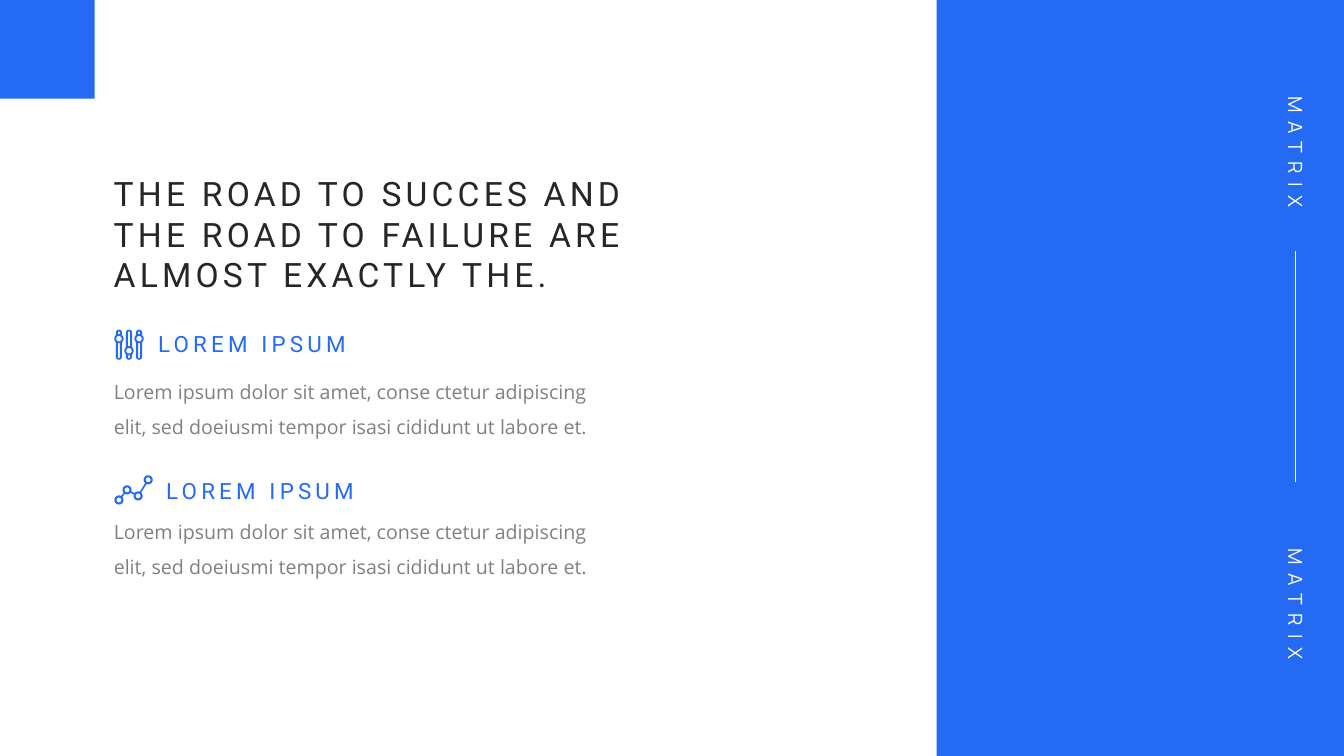
from math import cos, hypot, pi, sin, sqrt

from lxml.etree import SubElement
from pptx import Presentation
from pptx.dml.color import RGBColor
from pptx.enum.shapes import MSO_CONNECTOR as Connector, MSO_SHAPE as Shape
from pptx.enum.text import MSO_AUTO_SIZE as AutoSize, PP_ALIGN as Align
from pptx.oxml.ns import qn
from pptx.util import Inches, Pt

COLORS = {"blue": "256AF3", "white": "FFFFFF", "dark": "262626", "gray": "808080"}
BODY = ("Lorem ipsum dolor sit amet, conse ctetur adipiscing elit, "
        "sed doeiusmi tempor isasi cididunt ut labore et.")


def circle(x, y, radius, steps=32):
    return [(x + radius * cos(2 * pi * i / steps), y + radius * sin(2 * pi * i / steps))
            for i in range(steps)]


def slot(x, top, bottom, half=0.01):
    return [(x - half, top), (x + half, top), (x + half, bottom), (x - half, bottom)]


def slider(x, knob_y, top=3.27, bottom=3.57, track=0.03, knob=0.046, steps=60):
    """Contours of a rounded track with a round knob, and the holes in both."""
    def half_width(y):
        cap = max(0, track - min(y - top, bottom - y))
        widths = sqrt(max(0, track ** 2 - cap ** 2)), sqrt(max(0, knob ** 2 - (y - knob_y) ** 2))
        return max(widths)

    heights = [top + (bottom - top) * i / steps for i in range(steps + 1)]
    right = [(x + half_width(y), y) for y in heights]
    left = [(x - half_width(y), y) for y in reversed(heights)]
    return [right + left, circle(x, knob_y, 0.027),
            slot(x, top + 0.02, knob_y - 0.045), slot(x, knob_y + 0.045, bottom - 0.02)]


def link(start, end, radius, half=0.008):
    """Thin bar between the rims of two rings."""
    (x1, y1), (x2, y2) = start, end
    length = hypot(x2 - x1, y2 - y1)
    dx, dy = (x2 - x1) / length, (y2 - y1) / length
    x1, y1, x2, y2 = x1 + dx * radius, y1 + dy * radius, x2 - dx * radius, y2 - dy * radius
    nx, ny = -dy * half, dx * half
    return [(x1 + nx, y1 + ny), (x2 + nx, y2 + ny), (x2 - nx, y2 - ny), (x1 - nx, y1 - ny)]


def line_graph(points, outer=0.045, inner=0.024):
    rings = [circle(x, y, radius) for x, y in points for radius in (outer, inner)]
    return rings + [link(a, b, outer) for a, b in zip(points, points[1:])]


class SlideBuilder:
    def __init__(self, slide):
        self.shapes = slide.shapes

    def color(self, name):
        return RGBColor.from_string(COLORS[name])

    def paint(self, shape, fill):
        shape.shadow.inherit = False
        shape.fill.solid()
        shape.fill.fore_color.rgb = self.color(fill)
        shape.line.fill.background()

    def rectangle(self, left, top, width, height, fill="blue"):
        box = map(Inches, (left, top, width, height))
        self.paint(self.shapes.add_shape(Shape.RECTANGLE, *box), fill)

    def icon(self, contours, fill="blue"):
        """One filled outline; contours inside others become holes."""
        contours = [[(Inches(x), Inches(y)) for x, y in contour] for contour in contours]
        builder = self.shapes.build_freeform(*contours[0][0])
        for index, (first, *rest) in enumerate(contours):
            if index:
                builder.move_to(*first)
            builder.add_line_segments(rest, close=True)
        self.paint(builder.convert_to_shape(), fill)

    def line(self, x1, y1, x2, y2, color="white", width=0.5):
        ends = map(Inches, (x1, y1, x2, y2))
        connector = self.shapes.add_connector(Connector.STRAIGHT, *ends)
        connector.line.color.rgb = self.color(color)
        connector.line.width = Pt(width)
        SubElement(connector._element.spPr, qn("a:effectLst"))

    def text(self, left, top, width, height, words, font, size, color, tracking=0,
             align=Align.LEFT, line_spacing=None, wrap=True, rotation=0):
        box = self.shapes.add_textbox(*map(Inches, (left, top, width, height)))
        box.rotation = rotation
        frame = box.text_frame
        frame.word_wrap = wrap
        frame.auto_size = AutoSize.SHAPE_TO_FIT_TEXT
        paragraph = frame.paragraphs[0]
        paragraph.alignment = align
        if line_spacing:
            paragraph.line_spacing = line_spacing
        run = paragraph.add_run()
        run.text = words
        if tracking:
            run._r.get_or_add_rPr().set("spc", str(tracking * 100))
        paragraph.font.name = font
        paragraph.font.size = Pt(size)
        paragraph.font.color.rgb = self.color(color)


def main():
    presentation = Presentation()
    presentation.slide_width = Inches(13.33)
    presentation.slide_height = Inches(7.5)
    builder = SlideBuilder(presentation.slides.add_slide(presentation.slide_layouts[6]))

    builder.rectangle(9.29, 0, 4.04, 7.5)
    builder.rectangle(0, 0, 0.94, 0.98)
    for top in (1.34, 5.82):
        builder.text(11.87, top, 1.96, 0.34, "MATRIX", "Manrope", 14, "white",
                     tracking=6, align=Align.CENTER, rotation=90)
    builder.line(12.85, 2.49, 12.85, 4.78)

    builder.text(1.03, 1.67, 5.64, 1.31,
                 "THE ROAD TO SUCCES AND THE ROAD TO FAILURE ARE ALMOST EXACTLY THE.",
                 "Roboto", 24, "dark", tracking=3)
    for label_left, label_top, body_top, body_width in ((1.43, 3.23, 3.6, 5.12),
                                                        (1.51, 4.68, 4.99, 5.01)):
        builder.text(label_left, label_top, 2.1, 0.37, "LOREM IPSUM", "Roboto", 16, "blue",
                     tracking=3, align=Align.RIGHT, wrap=False)
        builder.text(1.03, body_top, body_width, 0.77, BODY, "Open Sans", 14, "gray",
                     line_spacing=1.5)

    for x, knob_y in ((1.18, 3.36), (1.28, 3.48), (1.38, 3.36)):
        builder.icon(slider(x, knob_y))
    builder.icon(line_graph([(1.18, 4.96), (1.26, 4.86), (1.37, 4.92), (1.47, 4.76)]))

    presentation.save("out.pptx")


if __name__ == "__main__":
    main()
